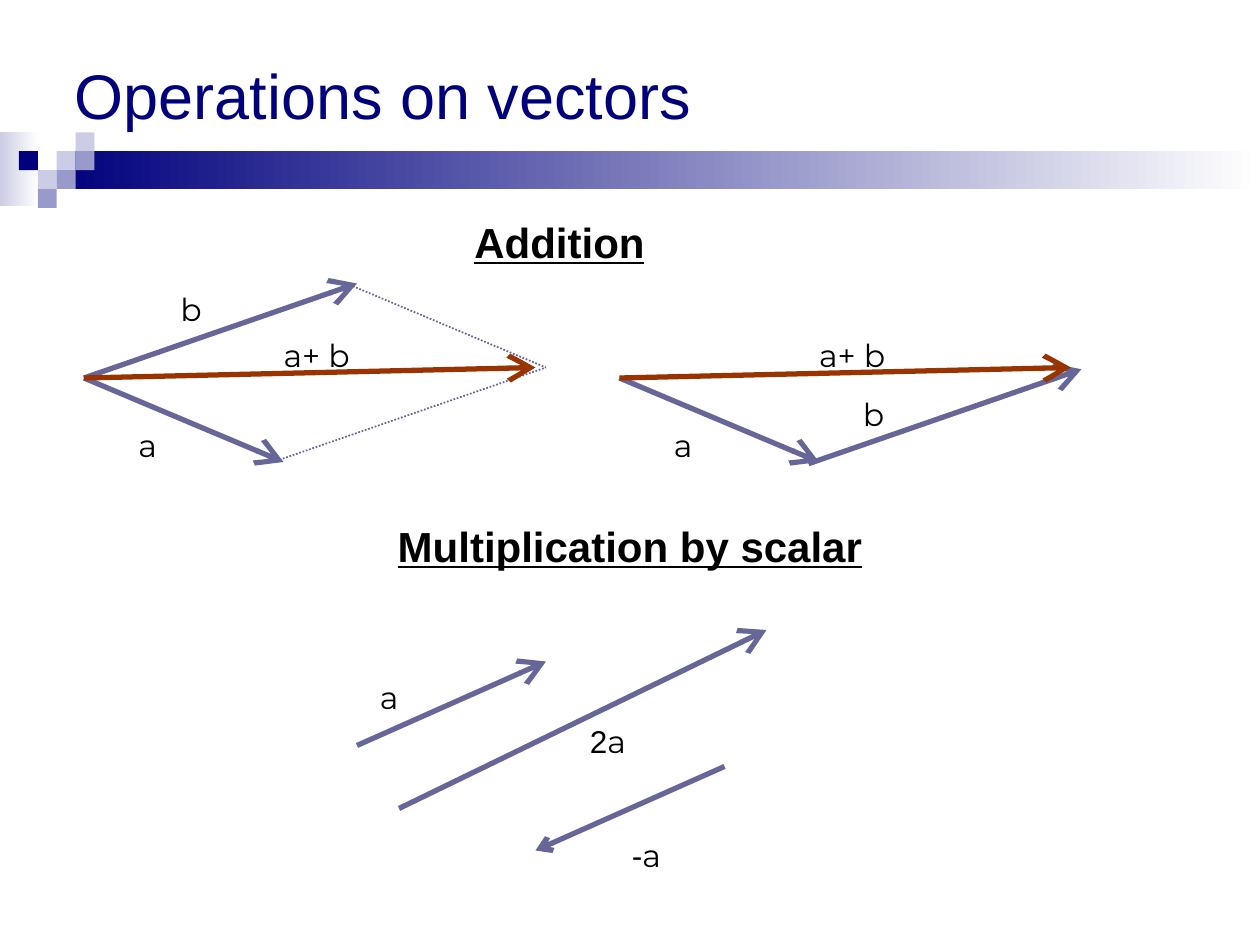
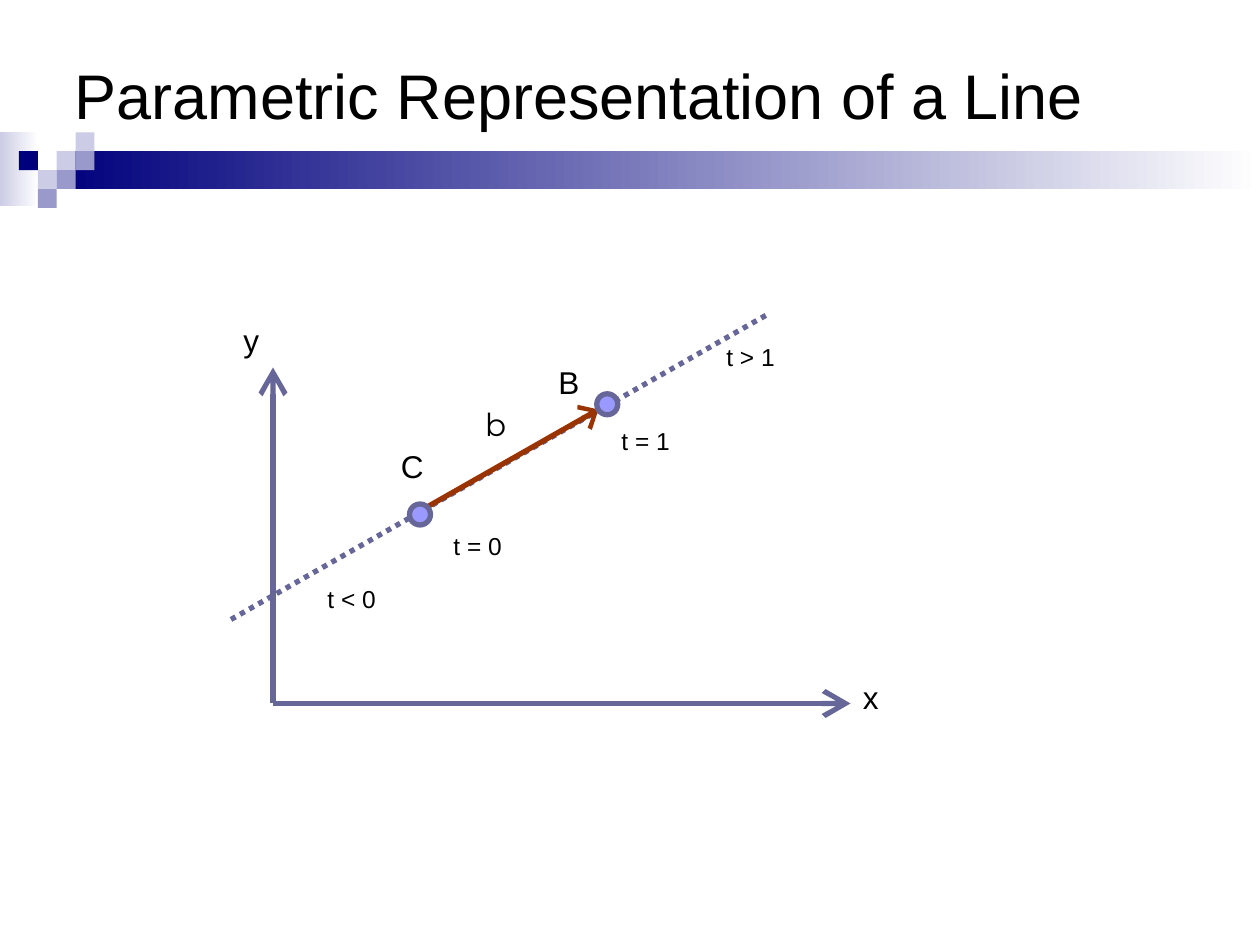
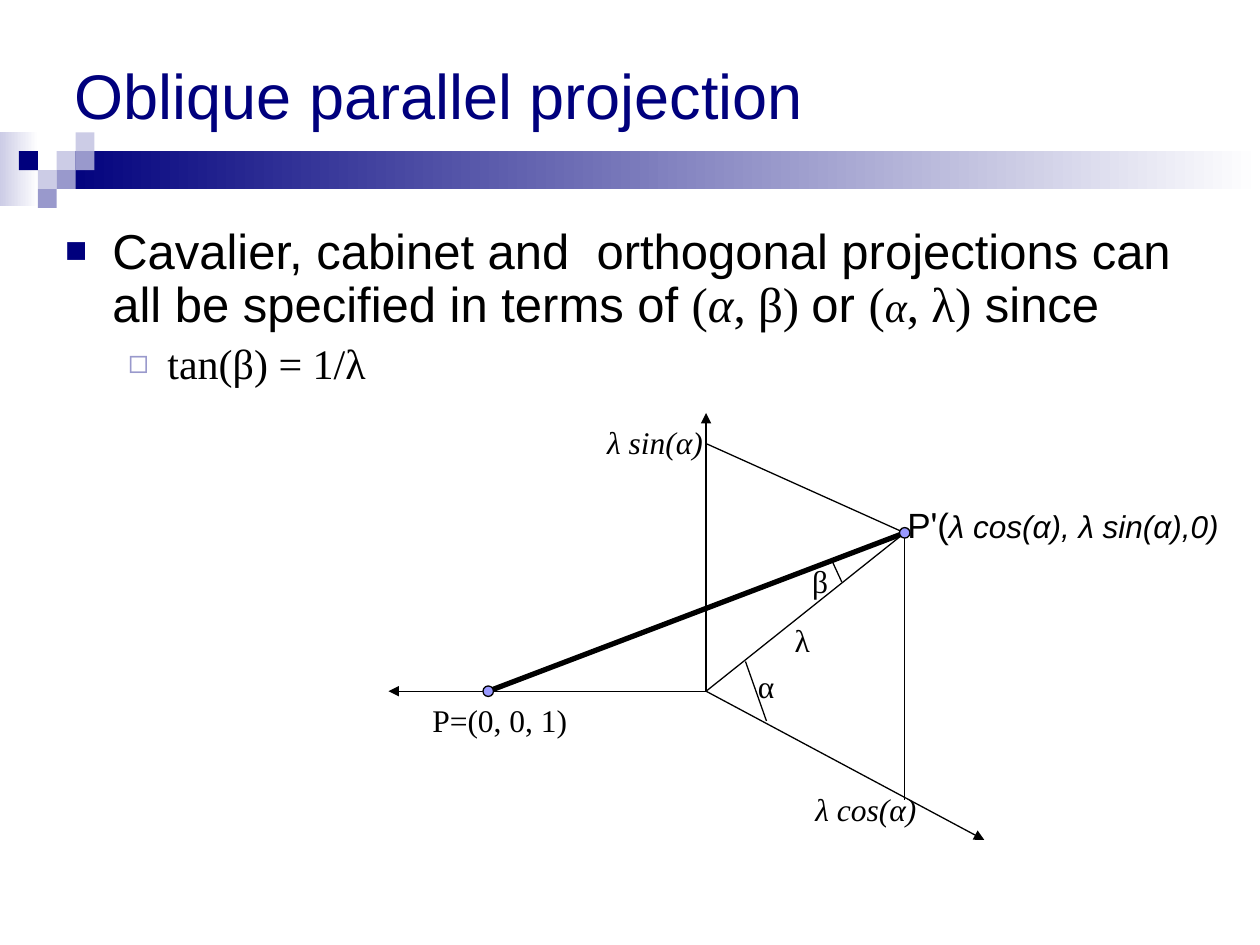
from lxml.etree import SubElement
from pptx import Presentation
from pptx.dml.color import RGBColor
from pptx.enum.dml import MSO_LINE
from pptx.enum.shapes import MSO_CONNECTOR, MSO_SHAPE
from pptx.enum.text import MSO_ANCHOR, MSO_AUTO_SIZE, PP_ALIGN
from pptx.oxml.ns import qn
from pptx.util import Pt

NAVY, LILAC, PALE, WHITE, BLACK = "00007D", "9999CC", "CCCCE6", "FFFFFF", "000000"
SLATE, RUST, DOT_FILL = "666699", "993300", "9999FF"
SANS, SERIF, VECTOR = "Arial", "Times New Roman", "Montserrat"
TITLE_ONLY, TITLE_AND_BODY = 5, 1


def rgb(value):
    return RGBColor.from_string(value)


# Text
def style_run(span, font=SANS, size=18, color=BLACK, italic=False, bold=False, underline=False):
    span.font.name = font
    span.font.size = Pt(size)
    span.font.color.rgb = rgb(color)
    span.font.italic = italic
    span.font.bold = bold
    span.font.underline = underline


def fill_paragraph(para, spans, **style):
    """Add (text, overrides) spans that share one base style."""
    for text, overrides in spans:
        span = para.add_run()
        span.text = text
        style_run(span, **{**style, **overrides})


def add_label(page, left, top, width, height, text, inset=True, wrap=True, align=PP_ALIGN.LEFT, **style):
    box = page.shapes.add_textbox(Pt(left), Pt(top), Pt(width), Pt(height))
    frame = box.text_frame
    frame.word_wrap = wrap
    frame.auto_size = MSO_AUTO_SIZE.SHAPE_TO_FIT_TEXT
    frame.margin_left = frame.margin_right = Pt(7.2 if inset else 0)
    frame.margin_top = frame.margin_bottom = Pt(3.6 if inset else 0)
    para = frame.paragraphs[0]
    para.alignment = align
    spans = [(text, {})] if isinstance(text, str) else text
    fill_paragraph(para, spans, **style)


def add_heading(page, left, top, width, text, align):
    add_label(page, left, top, width, 36, text, align=align, size=24, bold=True, underline=True)


# Lines and shapes
def add_line(page, origin, start, end, color=SLATE, weight=3, dash=None, head=None, head_size=("lg", "lg")):
    left, top = origin
    line = page.shapes.add_connector(MSO_CONNECTOR.STRAIGHT, Pt(left + start[0]), Pt(top + start[1]),
                                     Pt(left + end[0]), Pt(top + end[1]))
    line.line.color.rgb = rgb(color)
    line.line.width = Pt(weight)
    if dash:
        line.line.dash_style = dash
    properties = line.element.spPr
    if head:
        width, length = head_size
        SubElement(properties.find(qn("a:ln")), qn("a:tailEnd"), type=head, w=width, len=length)
    SubElement(properties, qn("a:effectLst"))


def add_vector(page, origin, start, end, color=SLATE, head_size=("lg", "lg")):
    add_line(page, origin, start, end, color, head="arrow", head_size=head_size)


def add_dot(page, origin, center, size, color, weight):
    left, top = (o + c - size / 2 for o, c in zip(origin, center))
    dot = page.shapes.add_shape(MSO_SHAPE.OVAL, Pt(left), Pt(top), Pt(size), Pt(size))
    dot.shadow.inherit = False
    dot.fill.solid()
    dot.fill.fore_color.rgb = rgb(DOT_FILL)
    dot.line.color.rgb = rgb(color)
    dot.line.width = Pt(weight)


def add_block(page, left, top, width, height, color, fade=False):
    block = page.shapes.add_shape(MSO_SHAPE.RECTANGLE, Pt(left), Pt(top), Pt(width), Pt(height))
    block.shadow.inherit = False
    block.line.fill.background()
    if fade:
        block.fill.gradient()
        block.fill.gradient_angle = 0
        for stop, shade in zip(block.fill.gradient_stops, (color, WHITE)):
            stop.color.rgb = rgb(shade)
    else:
        block.fill.solid()
        block.fill.fore_color.rgb = rgb(color)
    return block


# Shared band, moved from a page to the master
def add_master_band(deck, page, left=10.8, top=75.6, cell=10.8):
    blocks = [add_block(page, 0, top, 22, 42, PALE, fade=True),
              add_block(page, left + 2 * cell, top + cell, 687.6, 2 * cell, NAVY, fade=True)]
    tiles = [(2, 1, PALE), (3, 0, PALE), (3, 1, LILAC), (1, 2, PALE),
             (0, 1, NAVY), (2, 2, LILAC), (1, 3, LILAC)]
    for column, row, color in tiles:
        blocks.append(add_block(page, left + column * cell, top + row * cell, cell, cell, color))
    tree = deck.slide_master.shapes.element
    for index, block in enumerate(blocks, start=2):
        tree.insert(index, block.element)


def add_page(deck, layout, title, color=NAVY):
    page = deck.slides.add_slide(deck.slide_layouts[layout])
    box = page.shapes.title
    box.left, box.top, box.width, box.height = Pt(35.5), Pt(0), Pt(648), Pt(108)
    frame = box.text_frame
    frame.text = title
    frame.vertical_anchor = MSO_ANCHOR.MIDDLE
    frame.auto_size = MSO_AUTO_SIZE.NONE
    frame.paragraphs[0].alignment = PP_ALIGN.LEFT
    style_run(frame.paragraphs[0].runs[0], size=36, color=color)
    return page


# Operations on vectors
def draw_sum(page, left, top, head_to_tail):
    origin = (left, top)
    tail, a_tip, b_tip, corner = (0, 54), (114, 102), (156, 0), (264, 48)
    if head_to_tail:
        add_vector(page, origin, (108, 103), (264, 49))
    else:
        add_vector(page, origin, tail, b_tip)
    add_vector(page, origin, tail, a_tip)
    if not head_to_tail:
        for start in ((150, 0), (108, 102)):
            add_line(page, origin, start, corner, weight=1, dash=MSO_LINE.ROUND_DOT)
    add_vector(page, origin, tail, (258, 48), RUST)
    b_left, b_top = (132, 60) if head_to_tail else (48, 0)
    add_label(page, left + 24, top + 78, 24, 29, "a", font=VECTOR)
    add_label(page, left + b_left, top + b_top, 24, 29, "b", font=VECTOR)
    add_label(page, left + 114, top + 30, 48, 22, "a+ b", inset=False, font=VECTOR)


def draw_multiples(page, left, top):
    origin = (left, top)
    add_vector(page, origin, (0, 66), (108, 18))
    add_vector(page, origin, (24, 102), (234, 0))
    add_vector(page, origin, (210, 78), (102, 126), head_size=("med", "med"))
    for x, y, width, factor in ((6, 24, 30, ""), (126, 49, 54, "2"), (150, 114, 48, "-")):
        spans = [(factor, {"font": SANS})] if factor else []
        add_label(page, left + x, top + y, width, 29, spans + [("a", {})], font=VECTOR)


def build_operations(deck):
    page = add_page(deck, TITLE_ONLY, "Operations on vectors")
    add_master_band(deck, page)
    add_heading(page, 264, 120, 156, "Addition", PP_ALIGN.LEFT)
    draw_sum(page, 48, 162, head_to_tail=False)
    draw_sum(page, 354, 162, head_to_tail=True)
    add_heading(page, 210, 294, 300, "Multiplication by scalar", PP_ALIGN.CENTER)
    draw_multiples(page, 204, 360)


# Parametric line
def draw_parametric_line(page, left, top):
    origin = (left, top)
    for axis_tip in ((354, 222), (24, 30)):
        add_vector(page, origin, (24, 222), axis_tip)
    add_line(page, origin, (0, 174), (306, 0), dash=MSO_LINE.ROUND_DOT)
    add_vector(page, origin, (108, 112), (210, 54), RUST, head_size=("lg", "med"))
    for center in ((108, 114), (215, 51)):
        add_dot(page, origin, center, 12, SLATE, 3)
    names = [("y", 0, 0, SANS), ("x", 354, 204, SANS), ("B", 180, 24, SANS),
             ("C", 90, 72, SANS), ("b", 138, 48, VECTOR)]
    for text, x, y, font in names:
        add_label(page, left + x, top + y, 30, 29, text, font=font)
    ranges = [("t = 1", 216, 60), ("t = 0", 120, 120), ("t < 0", 48, 150), ("t > 1", 276, 12)]
    for text, x, y in ranges:
        add_label(page, left + x, top + y, 46, 24, text, size=14)


def build_line(deck):
    page = add_page(deck, TITLE_ONLY, "Parametric Representation of a Line", BLACK)
    draw_parametric_line(page, 132, 180)


# Oblique projection
def set_bullet(para, mark, color, percent, margin, hanging):
    properties = para._p.get_or_add_pPr()
    properties.set("marL", str(Pt(margin)))
    properties.set("indent", str(-Pt(hanging)))
    SubElement(SubElement(properties, qn("a:buClr")), qn("a:srgbClr"), val=color)
    SubElement(properties, qn("a:buSzPct"), val=str(percent * 1000))
    SubElement(properties, qn("a:buFont"), typeface=SANS)
    SubElement(properties, qn("a:buChar"), char=mark)


def fill_body(box, left, top, width, height):
    box.left, box.top, box.width, box.height = Pt(left), Pt(top), Pt(width), Pt(height)
    frame = box.text_frame
    frame.auto_size = MSO_AUTO_SIZE.NONE
    claim, formula = frame.paragraphs[0], frame.add_paragraph()
    formula.level = 1
    for para, space in ((claim, 0), (formula, 6)):
        para.line_spacing = 0.9
        para.space_before = Pt(space)
    set_bullet(claim, "■", NAVY, 75, 27, 27)
    set_bullet(formula, "◻", LILAC, 80, 58.5, 22.5)
    serif = {"font": SERIF}
    fill_paragraph(claim, [
        ("Cavalier, cabinet and  orthogonal projections can all be specified in terms of ", {}),
        ("(", serif), ("α", {"font": SERIF, "italic": True}), (", β) ", serif), ("or ", {}),
        ("(", serif), ("α", {"font": SERIF, "italic": True, "size": 24}), (", λ)", serif),
        (" since", {})], size=28)
    fill_paragraph(formula, [("tan(β) = 1/λ", {})], font=SERIF, size=24)


def draw_projection(page, left, top):
    origin = (left, top)
    center, point, image = (181.5, 159), (57, 159), (295, 68.5)
    sine, cosine = (181.5, 17.5), (295, 221)
    thin = {"color": BLACK, "weight": 0.75}
    for axis_tip in ((0, 159), (340.5, 244), (181.5, 0)):
        add_line(page, origin, center, axis_tip, head="triangle", head_size=("med", "med"), **thin)
    for start in (cosine, sine, center):
        add_line(page, origin, start, image, **thin)
    add_line(page, origin, point, image, BLACK)
    for dot in (image, point):
        add_dot(page, origin, dot, 6, BLACK, 0.75)
    # Angle marks for β and α
    add_line(page, origin, (253, 83.5), (259, 96.5), **thin)
    add_line(page, origin, (204, 142), (216, 176), **thin)
    for text, x, y in (("α", 204, 141.5), ("β", 235, 81.5), ("λ", 225, 115.5)):
        add_label(page, left + x, top + y, 24, 29, text, wrap=False, font=SERIF)
    captions = [("P=(0, 0, 1)", 25, 164.5, 84, False), ("λ cos(α)", 244, 215.5, 64, True),
                ("λ sin(α)", 125, 6, 60, True)]
    for text, x, y, width, italic in captions:
        add_label(page, left + x, top + y, width, 22, text, inset=False, wrap=False, font=SERIF, italic=italic)
    add_label(page, left + 296.5, top + 51.5, 187, 24,
              [("P׳(", {"size": 20}), ("λ cos(α), λ sin(α),0)", {"italic": True})], inset=False, wrap=False)


def build_projection(deck):
    page = add_page(deck, TITLE_AND_BODY, "Oblique parallel projection")
    fill_body(page.placeholders[1], 30, 126, 648, 138)
    draw_projection(page, 222, 236)


def main():
    deck = Presentation()
    deck.slide_width, deck.slide_height = Pt(720), Pt(540)
    build_operations(deck)
    build_line(deck)
    build_projection(deck)
    deck.save("out.pptx")


if __name__ == "__main__":
    main()
